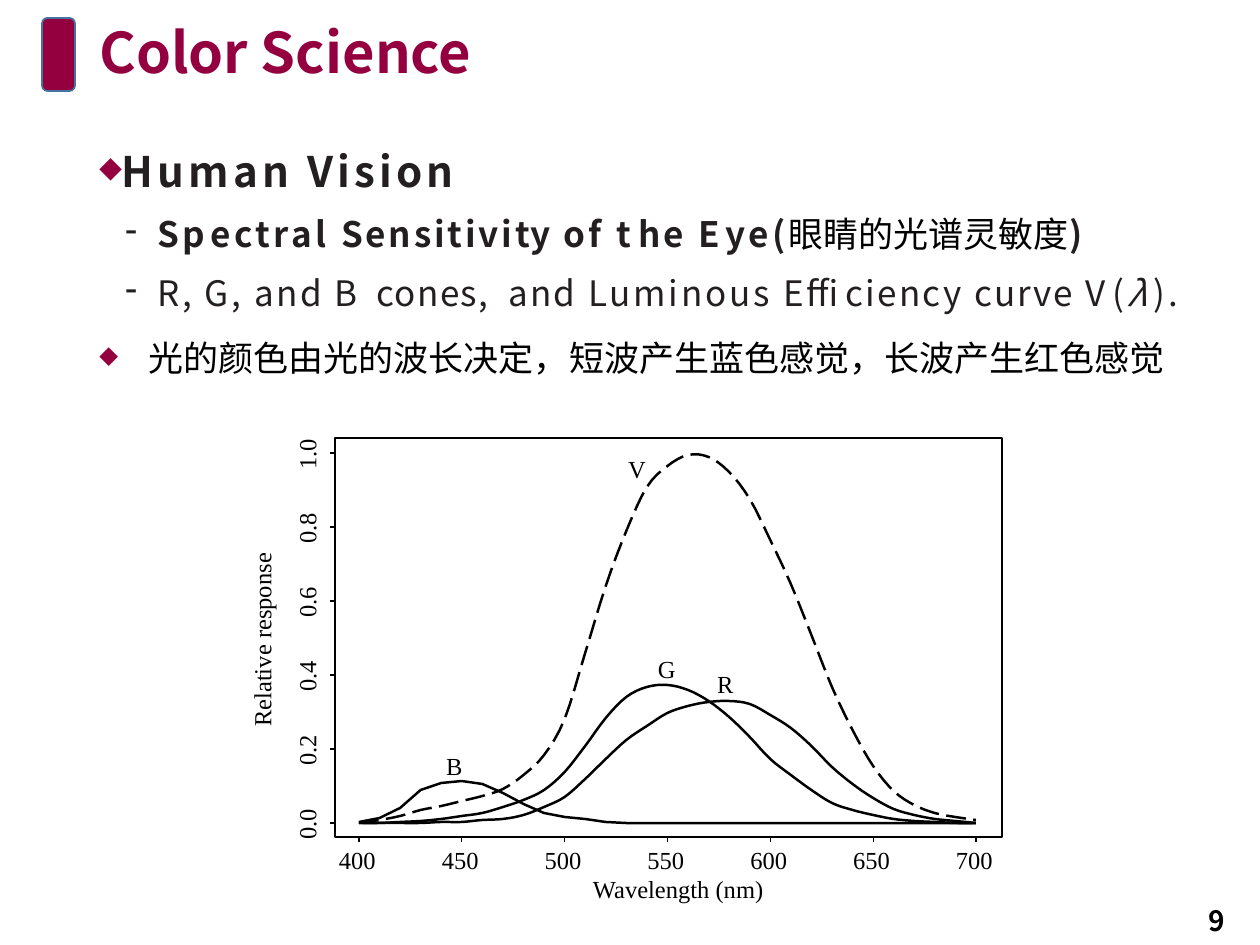
from lxml.etree import SubElement
from pptx import Presentation
from pptx.dml.color import RGBColor
from pptx.enum.dml import MSO_LINE
from pptx.enum.shapes import MSO_CONNECTOR, MSO_SHAPE
from pptx.enum.text import MSO_ANCHOR as ANCHOR, PP_ALIGN as ALIGN
from pptx.oxml.ns import qn
from pptx.util import Pt

SCALE = 914400 / 126
COLORS = {"wine": "94003F", "blue": "43739E", "ink": "231F20", "black": "000000"}
SANS, SERIF = "Noto Sans CJK SC", "Times New Roman"

ZERO_X, ZERO_Y = 359, 823
PLOT_WIDTH, PLOT_HEIGHT = 617, 370
FRAME_LEFT, FRAME_TOP, FRAME_WIDTH, FRAME_HEIGHT = 335, 438, 667, 399
FRAME_BOTTOM = FRAME_TOP + FRAME_HEIGHT

# Curve heights in px above zero response, one for every 10 nm from 400 to 700
LUMINOUS = [0, 3, 7, 13, 17, 22, 27, 34, 48, 68, 104, 170, 237, 292, 336, 357, 368, 366,
            351, 324, 283, 239, 188, 136, 93, 57, 32, 18, 10, 6, 3]
RED = [0, 0, 0, 0, 1, 1, 3, 4, 8, 16, 26, 44, 64, 83, 97, 110, 117, 121,
       122, 119, 108, 95, 77, 56, 39, 25, 14, 8, 4, 2, 0]
GREEN = [0, 0, 1, 2, 4, 7, 10, 16, 23, 33, 51, 77, 105, 126, 136, 138, 133, 122,
         106, 86, 64, 48, 33, 20, 13, 8, 4, 2, 1, 0, 0]
BLUE = [1, 5, 15, 33, 40, 42, 39, 30, 19, 10, 6, 4, 1] + [0] * 18

# Runs: text, letter spacing in points, then any changed format
SENSITIVITY = [("S", 2.1), ("p", 3), ("ectral ", 1.9), ("Sensitivi", 1.6), ("t", 0.3),
               ("y ", 1.3), ("o", 1.8), ("f ", 2.1), ("t", 3.9), ("he ", 1.8), ("E", 3.1),
               ("y", 1.6), ("e(", 1.8),
               ("眼睛的光谱灵敏度", 0, {"color": "black", "bold": False}), (")", 1.8)]
CONES = [("R, G, ", 1.5), ("and ", 1.3), ("B ", 3.1), ("cones,", 0.8), (" ", 6),
         ("and ", 1.3), ("Luminous ", 1.6), ("Efficiency ", 1.3), ("curve ", 1.1),
         ("V", 4), ("(", 1.7), ("λ", 3.8, {"italic": True}), (").", 2.2)]
WAVELENGTH_NOTE = "光的颜色由光的波长决定，短波产生蓝色感觉，长波产生红色感觉"


def emu(px):
    return round(px * SCALE)


def smooth(points, steps=4):
    """Return points along a Catmull-Rom curve through the given points."""
    padded = [points[0], *points, points[-1]]
    curve = [points[0]]
    for a, b, c, d in zip(padded, padded[1:], padded[2:], padded[3:]):
        for step in range(1, steps + 1):
            t = step / steps
            curve.append(tuple(
                q + t / 2 * (r - p + t * (2 * p - 5 * q + 4 * r - s + t * (3 * (q - r) + s - p)))
                for p, q, r, s in zip(a, b, c, d)))
    return curve


class Canvas:
    def __init__(self, slide):
        self.slide = slide

    def color(self, name):
        return RGBColor.from_string(COLORS[name])

    def stroke(self, line, color, width):
        line.color.rgb = self.color(color)
        line.width = Pt(width)

    def box(self, preset, left, top, width, height, line, weight, fill=None):
        shape = self.slide.shapes.add_shape(preset, *map(emu, (left, top, width, height)))
        shape.shadow.inherit = False
        if fill:
            shape.fill.solid()
            shape.fill.fore_color.rgb = self.color(fill)
        else:
            shape.fill.background()
        self.stroke(shape.line, line, weight)
        return shape

    def tick(self, x1, y1, x2, y2):
        mark = self.slide.shapes.add_connector(MSO_CONNECTOR.STRAIGHT,
                                               *map(emu, (x1, y1, x2, y2)))
        SubElement(mark._element.spPr, qn("a:effectLst"))
        self.stroke(mark.line, "black", 0.71)

    def curve(self, points, dash=None):
        first, *rest = [(emu(x), emu(y)) for x, y in points]
        builder = self.slide.shapes.build_freeform(*first, scale=1.0)
        builder.add_line_segments(rest, close=False)
        shape = builder.convert_to_shape()
        shape.shadow.inherit = False
        shape.fill.background()
        self.stroke(shape.line, "black", 1.41)
        if dash:
            shape.line.dash_style = dash

    def frame(self, left, top, width, height, anchor=ANCHOR.TOP):
        frame = self.slide.shapes.add_textbox(*map(emu, (left, top, width, height))).text_frame
        frame.word_wrap = True
        frame.vertical_anchor = anchor
        return frame

    def style(self, run, size, color="black", bold=False, italic=False, font=SANS, spacing=0):
        run.font.size = Pt(size)
        run.font.name = font
        run.font.bold = bold
        run.font.italic = italic
        run.font.color.rgb = self.color(color)
        props = run._r.get_or_add_rPr()
        props.set("spc", str(round(spacing * 100)))
        SubElement(props, qn("a:ea")).set("typeface", font)

    def line_of_text(self, box, text, align=ALIGN.LEFT, anchor=ANCHOR.MIDDLE, **style):
        paragraph = self.frame(*box, anchor).paragraphs[0]
        paragraph.text = text
        paragraph.alignment = align
        self.style(paragraph.runs[0], **style)
        return paragraph

    def label(self, left, top, width, height, text, upward=False):
        """Add a chart label without margins, read upward if asked."""
        frame = self.frame(left, top, width, height)
        frame.margin_left = frame.margin_right = frame.margin_top = frame.margin_bottom = 0
        if upward:
            frame._txBody.bodyPr.set("vert", "vert270")
        frame.text = text
        self.style(frame.paragraphs[0].runs[0], 14, font=SERIF)

    def bullet(self, paragraph, sign, color, margin, indent, percent=100):
        props = paragraph._p.get_or_add_pPr()
        props.set("marL", str(emu(margin)))
        props.set("indent", str(emu(indent)))
        bullet_color = SubElement(props, qn("a:buClr"))
        SubElement(bullet_color, qn("a:srgbClr")).set("val", COLORS[color])
        SubElement(props, qn("a:buSzPct")).set("val", str(percent * 1000))
        SubElement(props, qn("a:buChar")).set("char", sign)

    def runs(self, paragraph, pieces, **style):
        for text, spacing, *changes in pieces:
            run = paragraph.add_run()
            run.text = text
            self.style(run, spacing=spacing, **{**style, **(changes[0] if changes else {})})


def add_points(canvas):
    body = canvas.frame(87, 139, 1120, 769)
    heading = body.paragraphs[0]
    canvas.bullet(heading, "◆", "wine", 1, -49, 70)
    canvas.runs(heading, [("Human Vision", 2.4)], size=24, color="ink", bold=True)
    for pieces, bold in ((SENSITIVITY, True), (CONES, False)):
        detail = body.add_paragraph()
        detail.level = 1
        detail.alignment = ALIGN.JUSTIFY
        detail.line_spacing = 1.2
        detail.space_before = Pt(5)
        canvas.bullet(detail, "-", "ink", 58, -32)
        canvas.runs(detail, pieces, size=20, color="ink", bold=bold)
    note = body.add_paragraph()
    note.line_spacing = 1.3
    note.space_before = Pt(6)
    canvas.bullet(note, "◆", "wine", 49, -49, 70)
    canvas.runs(note, [(WAVELENGTH_NOTE, 0)], size=20)


def add_response_plot(canvas):
    canvas.label(593, 874, 178, 32, "Wavelength (nm)")
    canvas.label(247, 548, 32, 179, "Relative response", upward=True)
    for i in range(7):
        x = ZERO_X + PLOT_WIDTH * i / 6
        canvas.tick(x, FRAME_BOTTOM, x, FRAME_BOTTOM + 5)
        canvas.label(x - 20, 845, 40, 32, str(400 + 50 * i))
    for i in range(6):
        y = ZERO_Y - PLOT_HEIGHT * i / 5
        canvas.tick(FRAME_LEFT, y, FRAME_LEFT - 5, y)
        canvas.label(292, y - 17, 32, 34, f"{i / 5:.1f}", upward=True)
    canvas.box(MSO_SHAPE.RECTANGLE, FRAME_LEFT, FRAME_TOP, FRAME_WIDTH, FRAME_HEIGHT,
               "black", 0.71)
    for heights, steps, dash in ((LUMINOUS, 4, MSO_LINE.LONG_DASH), (RED, 4, None),
                                 (GREEN, 4, None), (BLUE, 1, None)):
        points = [(ZERO_X + PLOT_WIDTH * i / 30, ZERO_Y - h) for i, h in enumerate(heights)]
        canvas.curve(smooth(points, steps), dash)
    for name, x, y in (("R", 717, 669), ("G", 658, 654), ("V", 628, 454), ("B", 446, 751)):
        canvas.label(x, y, 21, 32, name)


def main():
    deck = Presentation()
    deck.slide_width, deck.slide_height = emu(1260), emu(945)
    canvas = Canvas(deck.slides.add_slide(deck.slide_layouts[6]))
    canvas.box(MSO_SHAPE.ROUNDED_RECTANGLE, 42, 18, 33, 73, "blue", 1, fill="wine")
    title = canvas.line_of_text((87, 19, 1086, 73), "Color Science",
                                size=32, color="wine", bold=True)
    title.line_spacing = 0.9
    add_points(canvas)
    canvas.line_of_text((1163, 895, 107, 50), "9", ALIGN.CENTER, size=16, bold=True)
    add_response_plot(canvas)
    deck.save("out.pptx")


if __name__ == "__main__":
    main()
